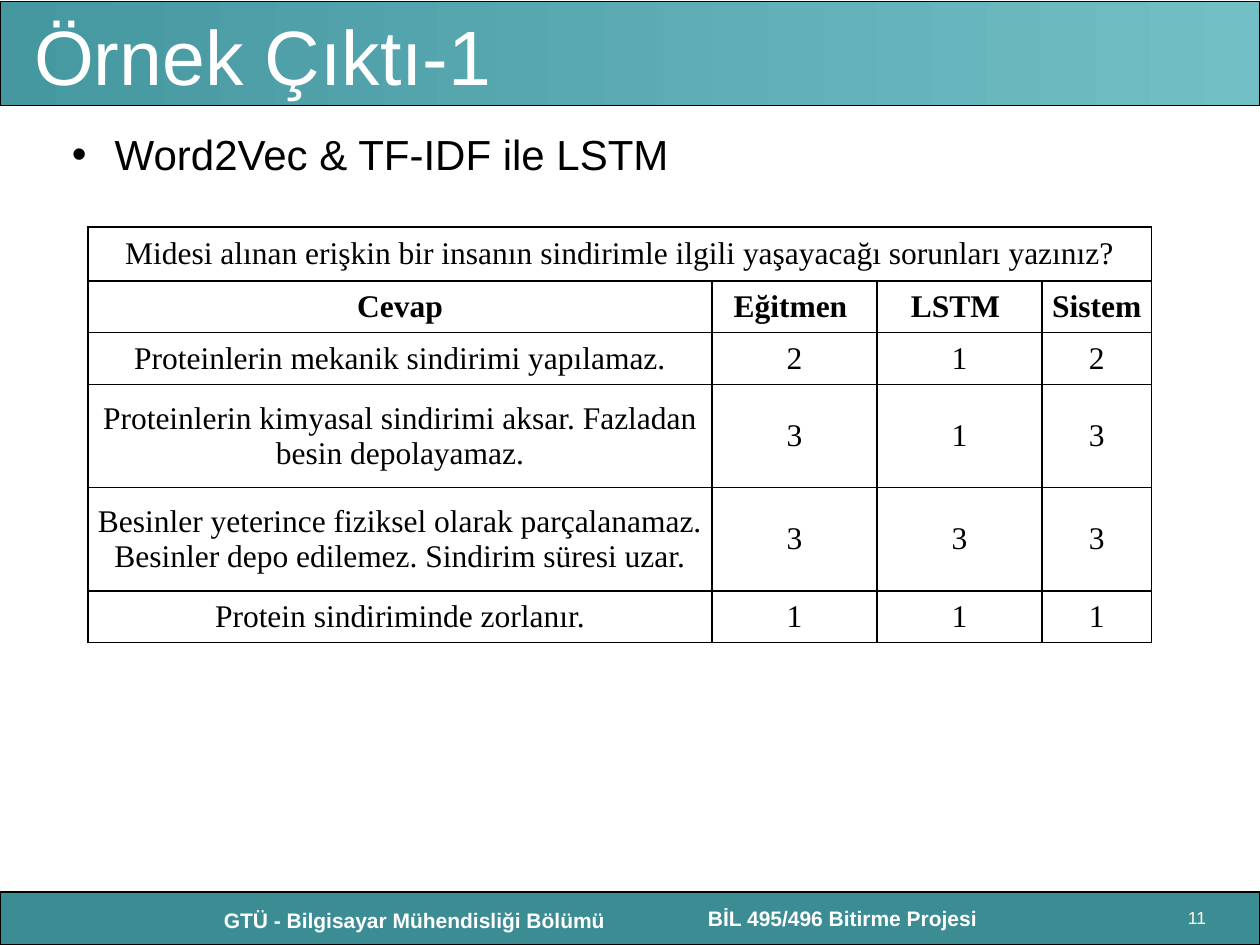
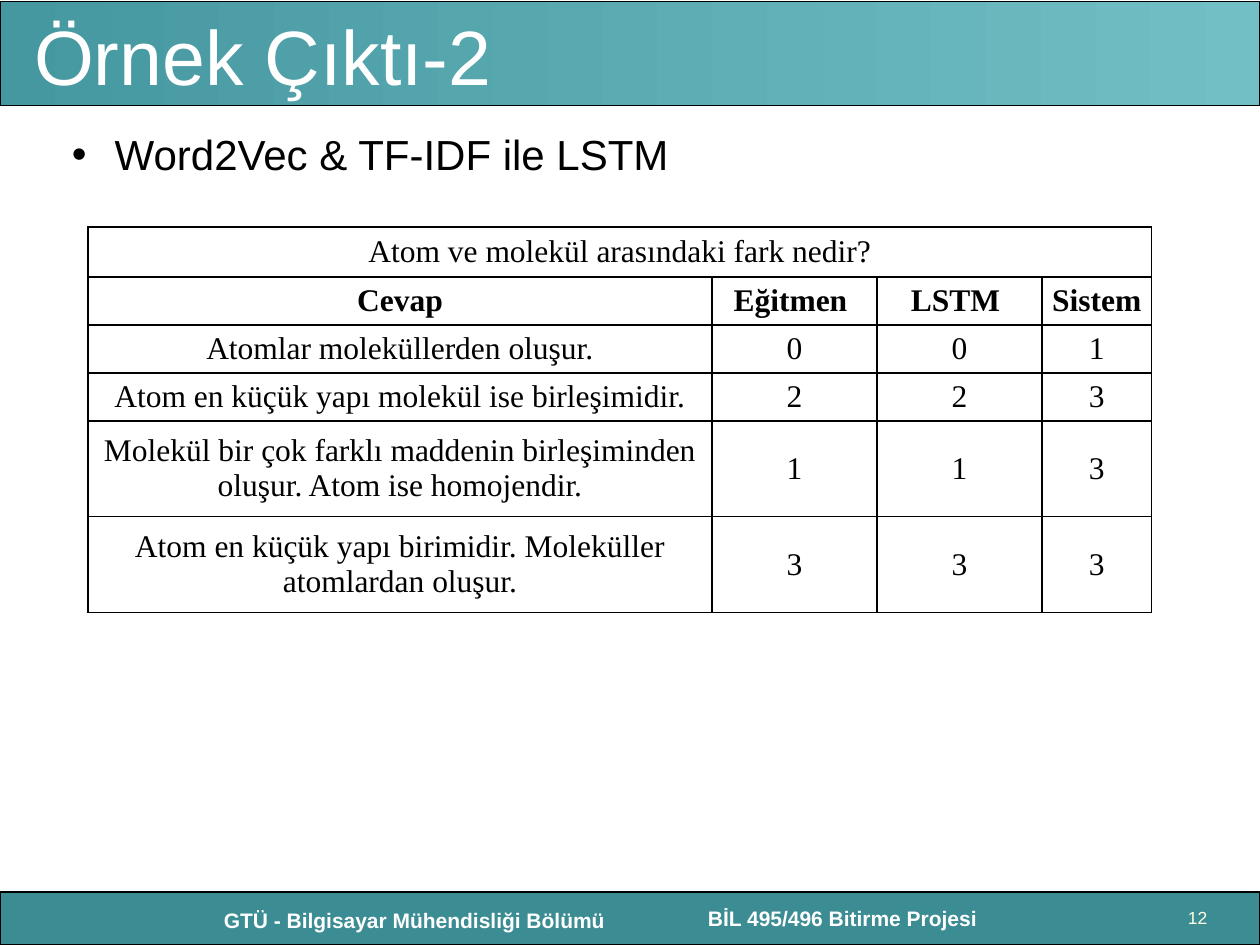
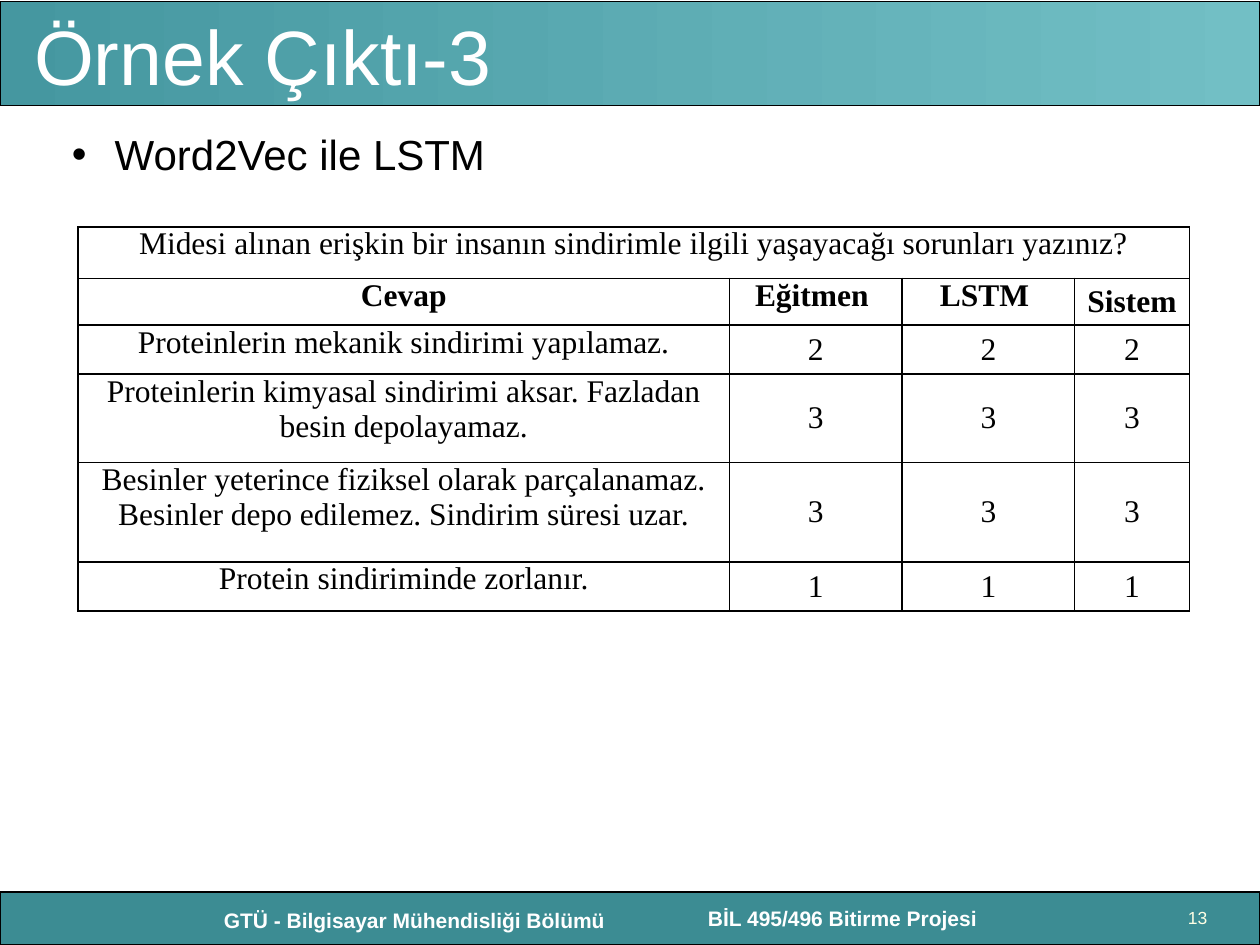
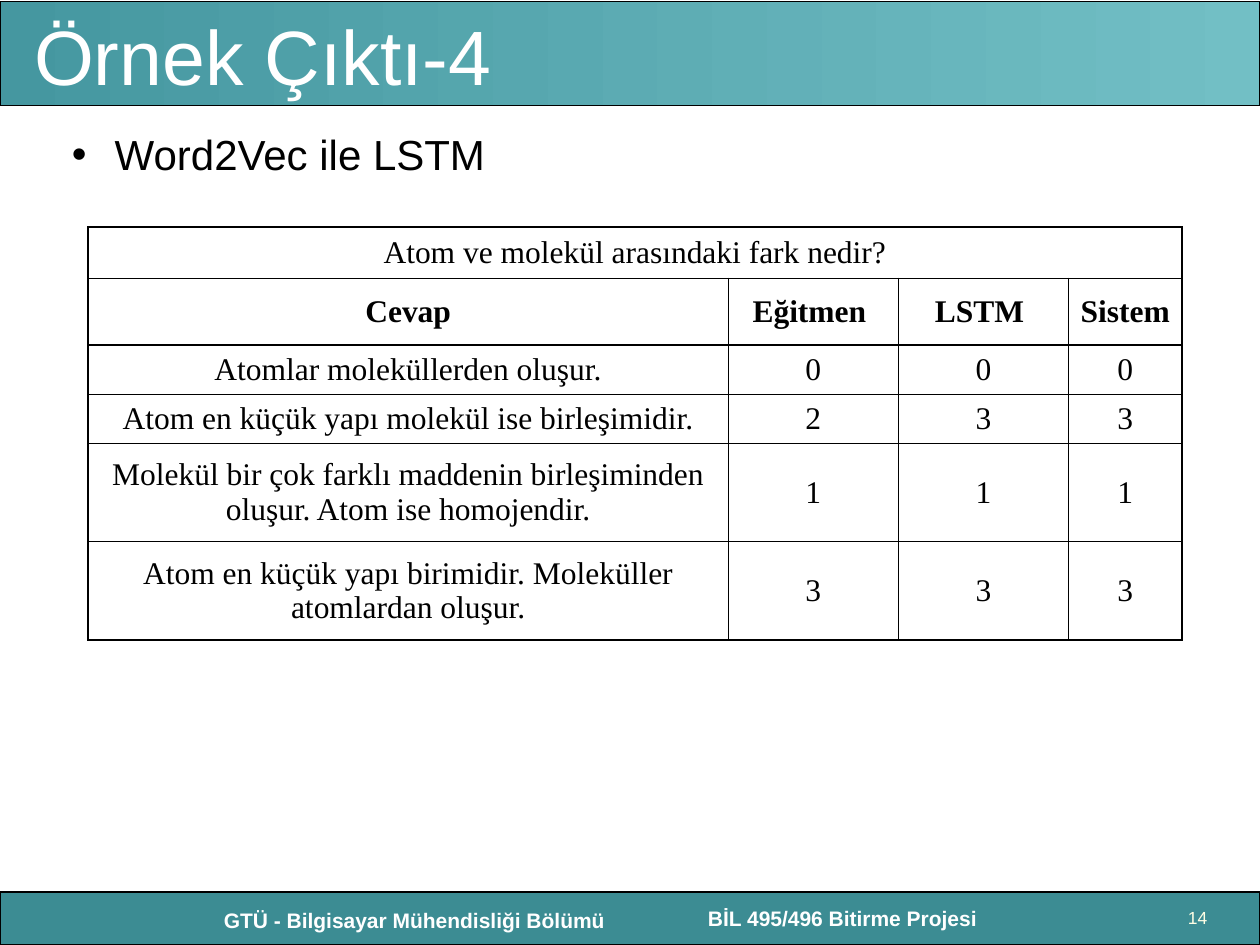
from dataclasses import dataclass

from lxml import etree
from pptx import Presentation
from pptx.dml.color import RGBColor
from pptx.enum.shapes import MSO_SHAPE
from pptx.enum.text import MSO_ANCHOR, MSO_AUTO_SIZE, PP_ALIGN
from pptx.oxml.ns import qn
from pptx.util import Inches, Pt

RECT = MSO_SHAPE.RECTANGLE
TOP, MIDDLE = MSO_ANCHOR.TOP, MSO_ANCHOR.MIDDLE
LEFT, CENTER = PP_ALIGN.LEFT, PP_ALIGN.CENTER
NO_FIT, GROW = MSO_AUTO_SIZE.NONE, MSO_AUTO_SIZE.SHAPE_TO_FIT_TEXT

COLORS = {
    "footer": "3C8C93",
    "band_start": "4597A0",
    "band_end": "72BFC5",
    "white": "FFFFFF",
    "number": "FFFFE5",
    "black": "000000",
}
SANS, SERIF = "Arial", "Times New Roman"
HEADERS = ("Cevap", "Eğitmen ", "LSTM ", "Sistem")
FIRST_NUMBER = 11
TABLE_TOP = 1.8


@dataclass(frozen=True)
class Question:
    text: str
    answers: tuple[str, ...]


@dataclass(frozen=True)
class Output:
    method: str
    question: Question
    scores: tuple[tuple[int, int, int], ...]  # teacher, LSTM, system
    left: float
    columns: tuple[float, ...]
    rows: tuple[float, ...]
    answers_on_top: bool = False


STOMACH = Question(
    "Midesi alınan erişkin bir insanın sindirimle ilgili yaşayacağı sorunları yazınız?",
    (
        "Proteinlerin mekanik sindirimi yapılamaz.",
        "Proteinlerin kimyasal sindirimi aksar. Fazladan besin depolayamaz.",
        "Besinler yeterince fiziksel olarak parçalanamaz. "
        "Besinler depo edilemez. Sindirim süresi uzar.",
        "Protein sindiriminde zorlanır.",
    ),
)
ATOM = Question(
    "Atom ve molekül arasındaki fark nedir?",
    (
        "Atomlar moleküllerden oluşur.",
        "Atom en küçük yapı molekül ise birleşimidir.",
        "Molekül bir çok farklı maddenin birleşiminden oluşur. Atom ise homojendir.",
        "Atom en küçük yapı birimidir. Moleküller atomlardan oluşur.",
    ),
)
WITH_TFIDF, WORD2VEC = "Word2Vec & TF-IDF ile LSTM", "Word2Vec ile LSTM"

OUTPUTS = (
    Output(WITH_TFIDF, STOMACH, ((2, 1, 2), (3, 1, 3), (3, 3, 3), (1, 1, 1)),
           0.7, (4.95, 1.31, 1.31, 0.87), (0.43, 0.41, 0.41, 0.82, 0.82, 0.41)),
    Output(WITH_TFIDF, ATOM, ((0, 0, 1), (2, 2, 3), (1, 1, 3), (3, 3, 3)),
           0.7, (4.95, 1.31, 1.31, 0.87), (0.4, 0.38, 0.38, 0.38, 0.76, 0.76)),
    Output(WORD2VEC, STOMACH, ((2, 2, 2), (3, 3, 3), (3, 3, 3), (1, 1, 1)),
           0.62, (5.17, 1.37, 1.37, 0.91), (0.41, 0.37, 0.39, 0.7, 0.79, 0.39), True),
    Output(WORD2VEC, ATOM, ((0, 0, 0), (2, 3, 3), (1, 1, 1), (3, 3, 3)),
           0.7, (5.08, 1.35, 1.35, 0.9), (0.41, 0.53, 0.39, 0.39, 0.78, 0.78)),
)


def rgb(name: str) -> RGBColor:
    return RGBColor.from_string(COLORS[name])


def write(tf, text: str, size: float, color: str, font: str = SANS,
          bold: bool = False, align=LEFT):
    """Put one formatted paragraph into a text frame."""
    tf.word_wrap = True
    p = tf.paragraphs[0]
    p.text = text
    p.alignment = align
    p.font.size, p.font.name, p.font.bold = Pt(size), font, bold
    p.font.color.rgb = rgb(color)
    return p


def place(sp, left: float, top: float, width: float, height: float) -> None:
    sp.left, sp.top = Inches(left), Inches(top)
    sp.width, sp.height = Inches(width), Inches(height)


# Bands and footer texts, shared through the layout
def add_band(slide, top: float, height: float):
    sp = slide.shapes.add_shape(RECT, 0, Inches(top), Inches(10), Inches(height))
    sp.shadow.inherit = False
    sp.line.color.rgb = rgb("black")
    sp.line.width = Pt(0.75)
    return sp


def add_footer_text(slide, left: float, top: float, text: str):
    sp = slide.shapes.add_textbox(Inches(left), Inches(top), Inches(3.42), Inches(0.3))
    write(sp.text_frame, text, 12, "white", bold=True, align=CENTER)
    sp.text_frame.auto_size = GROW
    return sp


def furnish_layout(layout, slide) -> None:
    """Draw the shared parts on a slide, then move them to the back of its layout."""
    footer = add_band(slide, 7.08, 0.42)
    footer.fill.solid()
    footer.fill.fore_color.rgb = rgb("footer")

    header = add_band(slide, 0.01, 0.83)
    header.fill.gradient()
    header.fill.gradient_angle = 0
    for stop, position, color in zip(header.fill.gradient_stops, (0, 1),
                                     ("band_start", "band_end")):
        stop.position = position
        stop.color.rgb = rgb(color)

    parts = (
        footer,
        header,
        add_footer_text(slide, 1.58, 7.15, "GTÜ - Bilgisayar Mühendisliği Bölümü"),
        add_footer_text(slide, 5, 7.14, "BİL 495/496 Bitirme Projesi "),
    )
    for i, sp in enumerate(parts):
        sp.element.xpath("./p:nvSpPr/p:cNvPr")[0].set("id", str(100 + i))
        layout.shapes.element.insert(2 + i, sp.element)


# Title, bullet and slide number
def add_texts(slide, index: int, method: str) -> None:
    title = slide.shapes.title
    place(title, 0.17, 0.12, 9.29, 0.63)
    write(title.text_frame, f"Örnek Çıktı-{index}", 44, "white")
    title.text_frame.vertical_anchor = MIDDLE
    title.text_frame.auto_size = NO_FIT

    body = slide.placeholders[1]
    place(body, 0.47, 0.94, 8.36, 0.5)
    tf = body.text_frame
    p = write(tf, method, 24, "black")
    p.space_before = Pt(0)
    tf.margin_top = Inches(0.08)
    tf.auto_size = GROW
    pPr = p._p.get_or_add_pPr()
    pPr.set("marL", str(Inches(0.34)))
    pPr.set("indent", str(-Inches(0.34)))

    number = slide.shapes.add_textbox(0, 0, 0, 0)
    place(number, 9.33, 7.17, 0.5, 0.08)
    write(number.text_frame, str(FIRST_NUMBER + index - 1), 10, "number")


# Score table
def add_borders(cell) -> None:
    tcPr = cell._tc.get_or_add_tcPr()
    for i, side in enumerate(("a:lnL", "a:lnR", "a:lnT", "a:lnB")):
        ln = etree.Element(qn(side), w=str(Pt(1)))
        fill = etree.SubElement(ln, qn("a:solidFill"))
        etree.SubElement(fill, qn("a:srgbClr"), val=COLORS["black"])
        tcPr.insert(i, ln)


def add_scores(slide, output: Output) -> None:
    question = output.question
    texts = [(question.text, "", "", ""), HEADERS]
    texts += [(answer, *map(str, scores))
              for answer, scores in zip(question.answers, output.scores)]

    table = slide.shapes.add_table(
        len(output.rows), len(output.columns), Inches(output.left), Inches(TABLE_TOP),
        Inches(sum(output.columns)), Inches(sum(output.rows))).table
    table.first_row = table.horz_banding = False
    for column, width in zip(table.columns, output.columns):
        column.width = Inches(width)
    for row, height in zip(table.rows, output.rows):
        row.height = Inches(height)
    table.cell(0, 0).merge(table.cell(0, 3))

    for r, row_texts in enumerate(texts):
        for c, text in enumerate(row_texts):
            cell = table.cell(r, c)
            cell.fill.background()
            add_borders(cell)
            if cell.is_spanned:
                continue
            on_top = output.answers_on_top and (c == 0 or (r == 1 and c < 3))
            cell.vertical_anchor = TOP if on_top else MIDDLE
            cell.margin_left = cell.margin_right = Inches(0.07 if r else 0.05)
            cell.margin_top = cell.margin_bottom = 0
            p = write(cell.text_frame, text, 18, "black", SERIF, r == 1, CENTER)
            if c < 3:
                p.space_before = Pt(2.8)


prs = Presentation()
prs.slide_width, prs.slide_height = Inches(10), Inches(7.5)
layout = prs.slide_layouts[1]

for index, output in enumerate(OUTPUTS, start=1):
    s = prs.slides.add_slide(layout)
    if index == 1:
        furnish_layout(layout, s)
    add_texts(s, index, output.method)
    add_scores(s, output)

prs.save("out.pptx")
